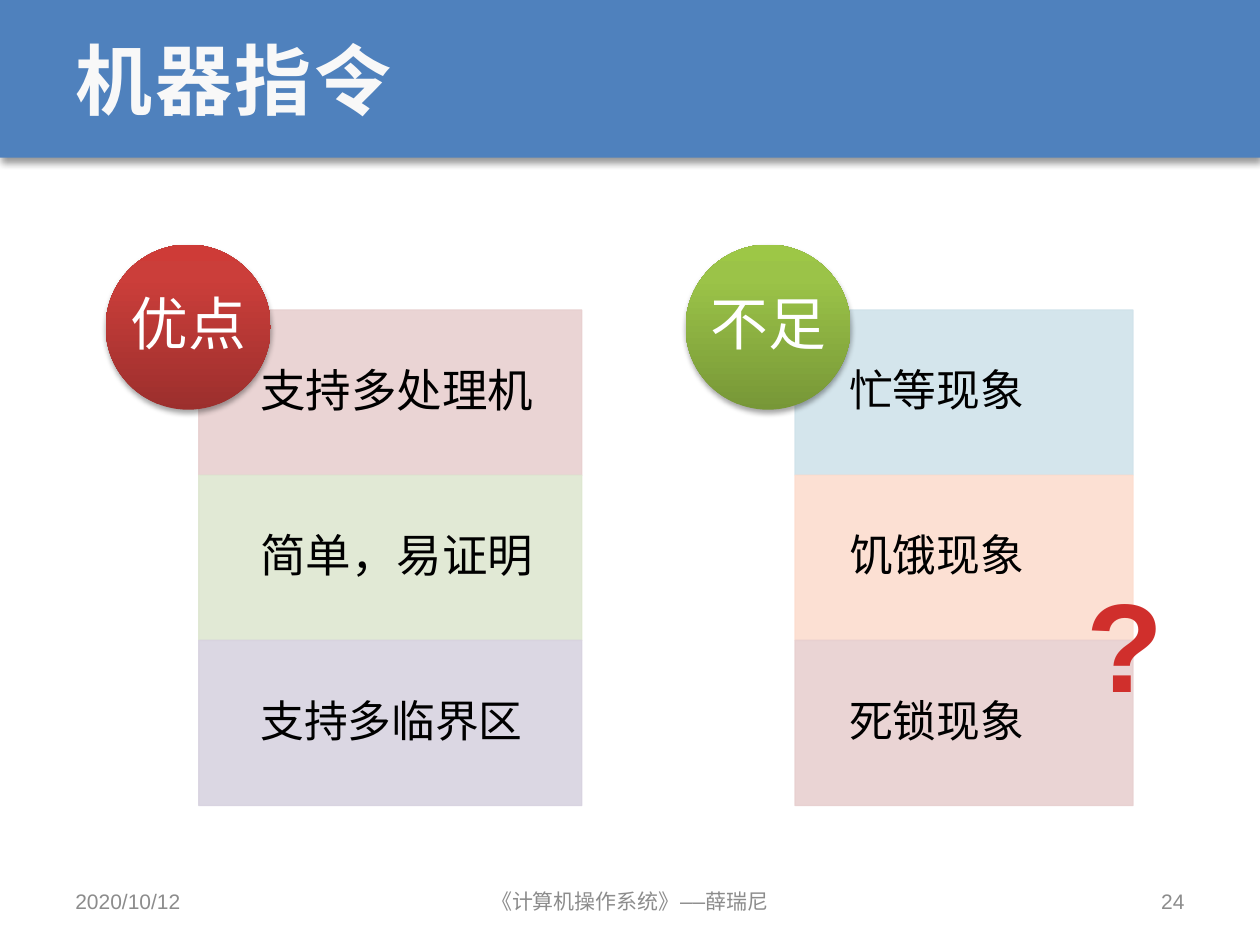
"""Build the slide on the strengths and weaknesses of machine instructions."""
from lxml import etree
from pptx import Presentation
from pptx.dml.color import RGBColor
from pptx.enum import shapes, text
from pptx.oxml.ns import qn
from pptx.util import Cm, Pt

COLORS = {
    "band": "4F81BD", "title": "F8F8F8", "footer": "8C8C8C", "black": "000000",
    "white": "FFFFFF", "rose": "E8D0D0", "green": "DEE7D1", "violet": "D8D3E0",
    "blue": "D0E3EA", "peach": "FCDDCF", "question": "D02F2C",
}
LEFT, CENTER, RIGHT = text.PP_ALIGN.LEFT, text.PP_ALIGN.CENTER, text.PP_ALIGN.RIGHT
TITLE = "机器指令"
GROUPS = [
    {"heading": "优点", "circle_left": 2.13, "left": 4.01, "width": 7.72, "indent": 1.24,
     "stops": [(0, "9C2F2D"), (80, "CB3E3A"), (100, "CE3B37")],
     "points": [("支持多处理机", 26, "rose"), ("简单，易证明", 26, "green"),
                ("支持多临界区", 25, "violet")]},
    {"heading": "不足", "circle_left": 13.82, "left": 16.03, "width": 6.81, "indent": 1.09,
     "stops": [(0, "779737"), (80, "9BC348"), (100, "9DC746")],
     "points": [("忙等现象", 25, "blue"), ("饥饿现象", 25, "peach"),
                ("死锁现象", 25, "rose")]},
]
FOOTERS = [
    ("2020/10/12", 1.27, 5.92, LEFT, "Arial"),
    ("《计算机操作系统》——薛瑞尼", 7.19, 11.01, CENTER, "DejaVu Sans Mono"),
    ("24", 18.21, 5.92, RIGHT, "Arial"),
]
CIRCLE_TOP, POINTS_TOP, SIZE = 4.93, 6.25, 3.33


def rgb(name):
    return RGBColor.from_string(COLORS[name])


def write(shape, words, size, color, align=LEFT, font="Arial", bold=False,
          spacing=None, **frame_format):
    frame = shape.text_frame
    settings = {"word_wrap": True, "vertical_anchor": text.MSO_ANCHOR.MIDDLE, **frame_format}
    for key, value in settings.items():
        setattr(frame, key, value)
    paragraph = frame.paragraphs[0]
    paragraph.alignment, paragraph.line_spacing = align, spacing
    run = paragraph.add_run()
    run.text = words
    for key, value in {"size": Pt(size), "name": font, "bold": bold}.items():
        setattr(run.font, key, value)
    run.font.color.rgb = rgb(color)
    etree.SubElement(run.font._element, qn("a:ea"), typeface=font)
    return run


def add_plain(slide, kind, *place):
    shape = slide.shapes.add_shape(kind, *map(Cm, place))
    shape.shadow.inherit = False
    shape.line.fill.background()
    return shape


def add_shadow(shape, opacity, blur, distance):
    effects = shape._element.spPr.find(qn("a:effectLst"))
    shadow = etree.SubElement(effects, qn("a:outerShdw"), blurRad=str(Pt(blur)),
                              dist=str(Pt(distance)), dir="5400000", rotWithShape="0")
    color = etree.SubElement(shadow, qn("a:srgbClr"), val=COLORS["black"])
    etree.SubElement(color, qn("a:alpha"), val=str(opacity * 1000))


def fill_gradient(shape, stops):
    shape.fill.gradient()
    shape.fill.gradient_angle = 90
    stop_list = shape._element.spPr.find(qn("a:gradFill")).find(qn("a:gsLst"))
    for old in list(stop_list):
        stop_list.remove(old)
    for position, color in stops:
        stop = etree.SubElement(stop_list, qn("a:gs"), pos=str(position * 1000))
        etree.SubElement(stop, qn("a:srgbClr"), val=color)


def add_group(slide, group):
    for row, (words, size, color) in enumerate(group["points"]):
        point = add_plain(slide, shapes.MSO_SHAPE.RECTANGLE, group["left"],
                          POINTS_TOP + row * SIZE, group["width"], SIZE)
        for fill in (point.fill, point.line.fill):
            fill.solid()
            fill.fore_color.rgb = rgb(color)
        point.line.width = Pt(0.75)
        for solid in point._element.spPr.iter(qn("a:srgbClr")):
            etree.SubElement(solid, qn("a:alpha"), val="90000")
        write(point, words, size, "black", spacing=0.9,
              margin_left=Cm(group["indent"]), margin_right=Cm(0.5))
    circle = add_plain(slide, shapes.MSO_SHAPE.OVAL, group["circle_left"],
                       CIRCLE_TOP, SIZE, SIZE)
    fill_gradient(circle, group["stops"])
    add_shadow(circle, 35, 3.1, 1.8)
    write(circle, group["heading"], 33, "white", CENTER, spacing=0.9, word_wrap=False,
          margin_left=0, margin_right=0, margin_top=0, margin_bottom=0)


def main():
    deck = Presentation()
    deck.slide_width, deck.slide_height = Cm(25.4), Cm(19.05)
    slide = deck.slides.add_slide(deck.slide_layouts[5])

    band = add_plain(slide, shapes.MSO_SHAPE.RECTANGLE, 0, 0, 25.4, 3.18)
    band.fill.solid()
    band.fill.fore_color.rgb = rgb("band")
    add_shadow(band, 40, 4, 3)
    title = slide.shapes.title
    title._element.addprevious(band._element)
    place = {"left": 1.27, "top": 0, "width": 22.86, "height": 3.18}
    for key, value in place.items():
        setattr(title, key, Cm(value))
    heading = write(title, TITLE, 44, "title", font="DejaVu Sans Mono", bold=True)
    heading.font._element.set("spc", "150")

    for words, left, width, align, font in FOOTERS:
        footer = slide.shapes.add_textbox(Cm(left), Cm(17.65), Cm(width), Cm(1.02))
        write(footer, words, 12, "footer", align, font)
    for group in GROUPS:
        add_group(slide, group)
    question = slide.shapes.add_textbox(Cm(20.96), Cm(11.3), Cm(3.43), Cm(3.33))
    write(question, "?", 72, "question", CENTER, bold=True,
          vertical_anchor=text.MSO_ANCHOR.TOP)
    deck.save("out.pptx")


if __name__ == "__main__":
    main()
